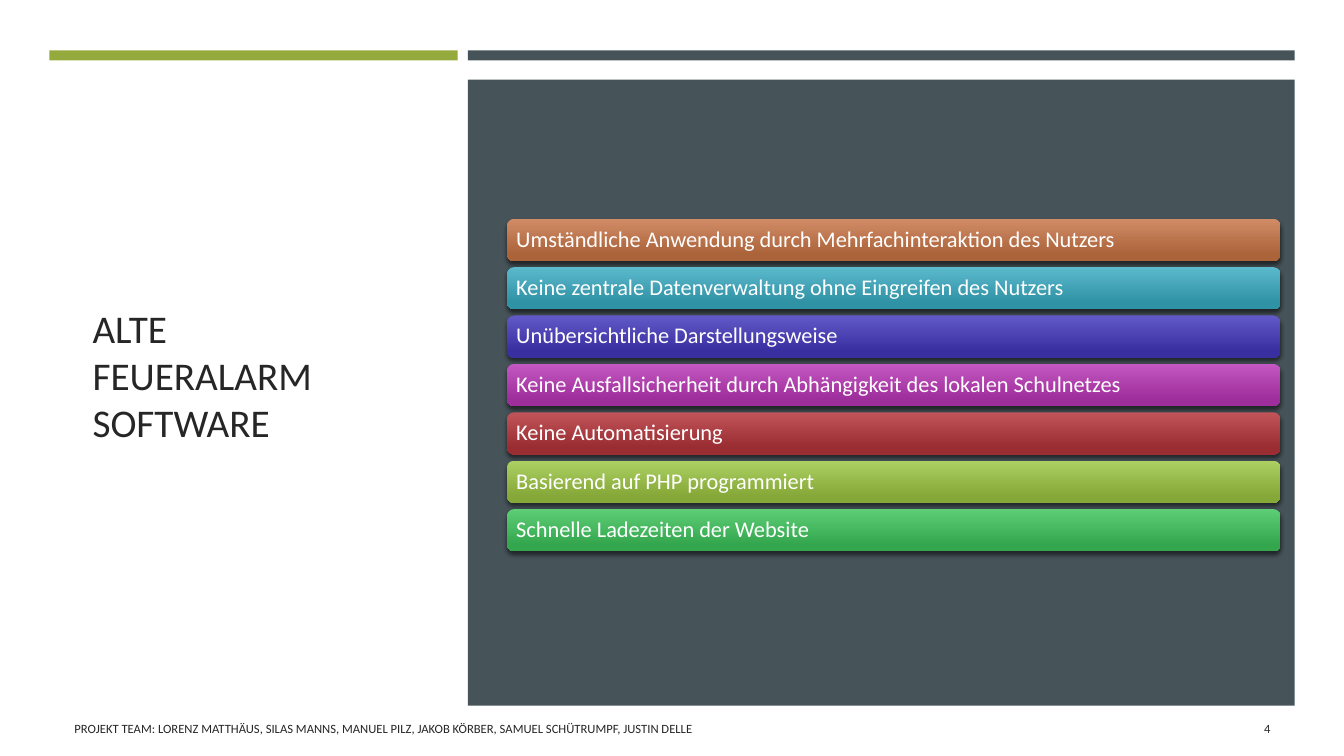
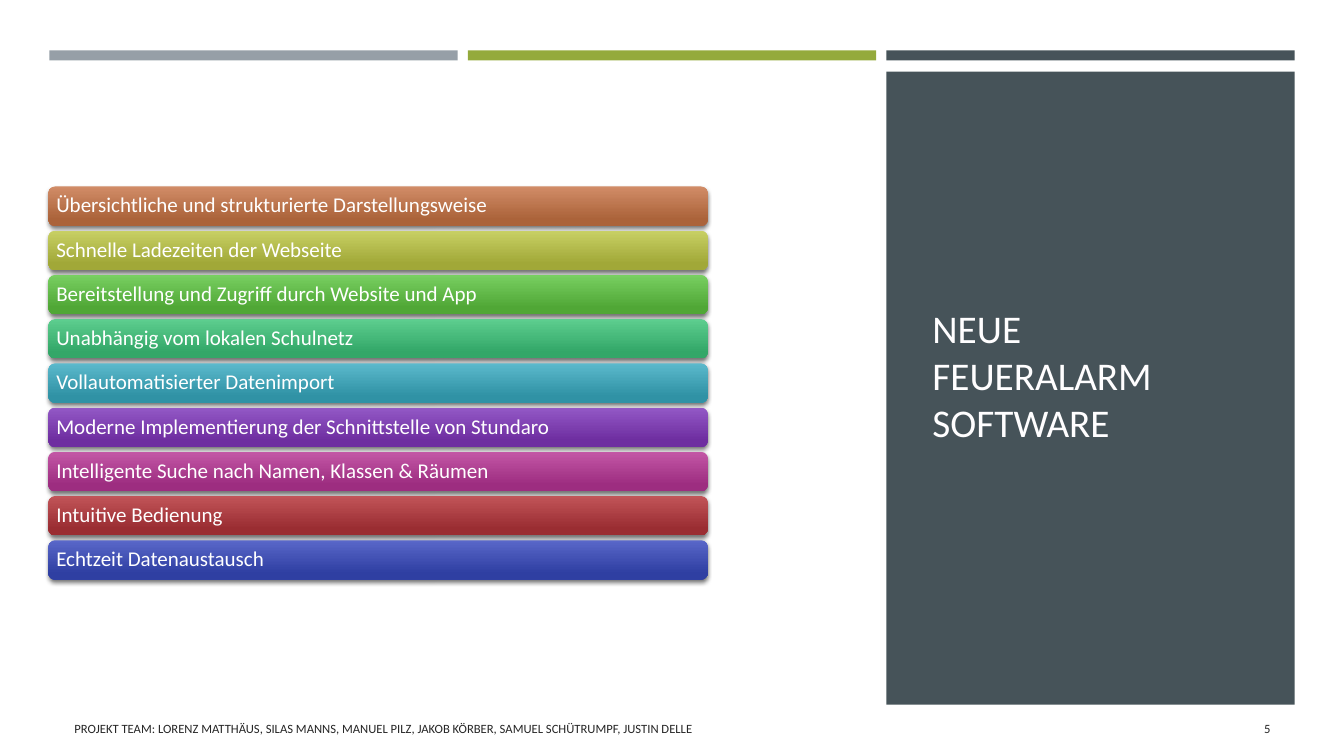
import pptx
import pptx.util
import pptx.dml.color
import pptx.enum.shapes
import pptx.enum.text
import pptx.oxml
import pptx.oxml.ns

Inches, Pt = pptx.util.Inches, pptx.util.Pt
SHAPE = pptx.enum.shapes.MSO_SHAPE
ALIGN = pptx.enum.text.PP_ALIGN
MIDDLE = pptx.enum.text.MSO_ANCHOR.MIDDLE

# Shared style
FONT = "Calibri"
SLATE, GREEN, GREY = "465359", "94AA3C", "969FA7"
DARK, WHITE, PALE = "262626", "FFFFFF", "FFFEFF"
LEFT, COL, GAP = 0.49, 4.05, 0.1
BAND_TOP, BAND_TALL = 0.5, 0.1
TEAM = ("PROJEKT TEAM: LORENZ MATTHÄUS, SILAS MANNS, MANUEL PILZ, "
        "JAKOB KÖRBER, SAMUEL SCHÜTRUMPF, JUSTIN DELLE")

# Bar gradients, top to bottom colour
RUST = ("D18C67", "AB633A")
OLIVE = ("C8D064", "A1A838")
LIME = ("ADD063", "86A838")
GRASS = ("78CF61", "50A736")
LEAF = ("5ECE76", "34A74E")
MINT = ("5DCE8F", "33A768")
TEAL = ("5BB9CC", "3092A5")
BLUE = ("5967C9", "2F3FA2")
INDIGO = ("6259C8", "3A2FA1")
PURPLE = ("9358C6", "6E2EA0")
PINK = ("C457C1", "9E2E9B")
ROSE = ("C357A6", "9D2D80")
RED = ("C15458", "9A2D32")

# Content: bands are (first column, columns spanned, colour)
SLIDES = [
    {
        "number": "4",
        "title": ["ALTE", "FEUERALARM", "SOFTWARE"],
        "title_at": (0.82, 1.14, 3.34, 5.15), "title_color": DARK,
        "bands": [(0, 1, GREEN), (1, 2, SLATE)],
        "panel": (1, 2, 0.79, 6.21),
        "list": {"left": 5.03, "wide": 7.67, "tall": 0.42,
                 "first": 2.17, "last": 5.05, "size": 16, "inset": 0.07},
        "bars": [
            ("Umständliche Anwendung durch Mehrfachinteraktion des Nutzers", RUST),
            ("Keine zentrale Datenverwaltung ohne Eingreifen des Nutzers", TEAL),
            ("Unübersichtliche Darstellungsweise", INDIGO),
            ("Keine Ausfallsicherheit durch Abhängigkeit des lokalen Schulnetzes", PINK),
            ("Keine Automatisierung", RED),
            ("Basierend auf PHP programmiert", LIME),
            ("Schnelle Ladezeiten der Website", LEAF),
        ],
    },
    {
        "number": "5",
        "title": ["NEUE", "FEUERALARM", "SOFTWARE"],
        "title_at": (9.15, 1.14, 3.29, 5.15), "title_color": PALE,
        "bands": [(0, 1, GREY), (1, 1, GREEN), (2, 1, SLATE)],
        "panel": (2, 1, 0.71, 6.28),
        "list": {"left": 0.48, "wide": 6.54, "tall": 0.39,
                 "first": 1.85, "last": 5.36, "size": 15, "inset": 0.06},
        "bars": [
            ("Übersichtliche und strukturierte Darstellungsweise", RUST),
            ("Schnelle Ladezeiten der Webseite", OLIVE),
            ("Bereitstellung und Zugriff durch Website und App", GRASS),
            ("Unabhängig vom lokalen Schulnetz", MINT),
            ("Vollautomatisierter Datenimport", TEAL),
            ("Moderne Implementierung der Schnittstelle von Stundaro", PURPLE),
            ("Intelligente Suche nach Namen, Klassen & Räumen", ROSE),
            ("Intuitive Bedienung", RED),
            ("Echtzeit Datenaustausch", BLUE),
        ],
    },
]


def rgb(code):
    return pptx.dml.color.RGBColor.from_string(code)


def apply(target, values):
    for name, value in values.items():
        setattr(target, name, value)


def write(frame, text, size, color, align=ALIGN.LEFT, inset=None, line=None):
    frame.text = text
    apply(frame, {"word_wrap": True, "vertical_anchor": MIDDLE})
    if inset is not None:
        for side in ("left", "top", "right", "bottom"):
            setattr(frame, "margin_" + side, Inches(inset))
    para = frame.paragraphs[0]
    apply(para, {"alignment": align, "line_spacing": line})
    for run in para.runs:
        apply(run.font, {"name": FONT, "size": Pt(size)})
        run.font.color.rgb = rgb(color)


def add_text(slide, at, *style):
    box = slide.shapes.add_textbox(*map(Inches, at))
    write(box.text_frame, *style)


def add_block(slide, kind, at):
    block = slide.shapes.add_shape(kind, *map(Inches, at))
    block.shadow.inherit = False
    block.line.fill.background()
    return block


def add_panel(slide, col, span, top, tall, color):
    at = (LEFT + col * (COL + GAP), top, span * (COL + GAP) - GAP, tall)
    panel = add_block(slide, SHAPE.RECTANGLE, at)
    panel.fill.solid()
    panel.fill.fore_color.rgb = rgb(color)


def add_shadow(shape):
    effects = shape.element.spPr.find(pptx.oxml.ns.qn("a:effectLst"))
    effects.append(pptx.oxml.parse_xml(
        f'<a:outerShdw {pptx.oxml.ns.nsdecls("a")} blurRad="{Pt(3)}" '
        f'dist="{Pt(2)}" dir="5400000" algn="ctr" rotWithShape="0">'
        '<a:srgbClr val="000000"><a:alpha val="55000"/></a:srgbClr>'
        '</a:outerShdw>'))


def add_bars(slide, bars, form):
    step = (form["last"] - form["first"]) / (len(bars) - 1)
    for i, (text, shades) in enumerate(bars):
        at = (form["left"], form["first"] + i * step, form["wide"], form["tall"])
        bar = add_block(slide, SHAPE.ROUNDED_RECTANGLE, at)
        bar.fill.gradient()
        bar.fill.gradient_angle = 270
        for stop, shade, place in zip(bar.fill.gradient_stops, shades, (0, 0.84)):
            stop.color.rgb = rgb(shade)
            stop.position = place
        add_shadow(bar)
        write(bar.text_frame, text, form["size"], WHITE,
              inset=form["inset"], line=0.9)


def build(deck, page):
    slide = deck.slides.add_slide(deck.slide_layouts[6])
    # Bands, panel and title
    for col, span, color in page["bands"]:
        add_panel(slide, col, span, BAND_TOP, BAND_TALL, color)
    add_panel(slide, *page["panel"], SLATE)
    add_text(slide, page["title_at"], "\v".join(page["title"]), 28,
             page["title_color"])
    # List of points
    add_bars(slide, page["bars"], page["list"])
    # Footer
    add_text(slide, (0.64, 7.03, 7.56, 0.4), TEAM, 9, DARK)
    add_text(slide, (11.55, 7.03, 1.15, 0.4), page["number"], 9, DARK, ALIGN.RIGHT)


def main():
    deck = pptx.Presentation()
    apply(deck, {"slide_width": Inches(13.33), "slide_height": Inches(7.5)})
    for page in SLIDES:
        build(deck, page)
    deck.save("out.pptx")


if __name__ == "__main__":
    main()
